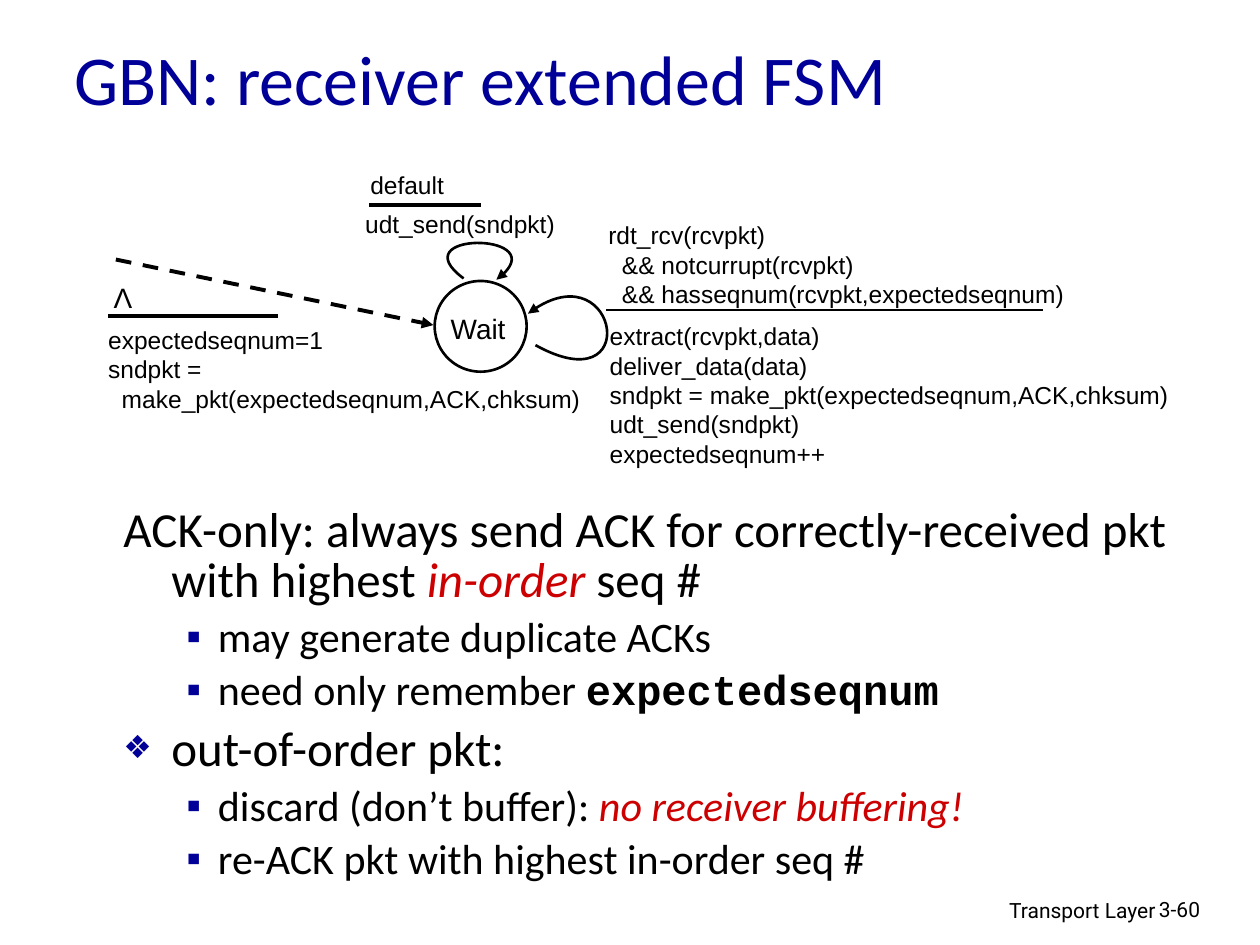
from dataclasses import dataclass

import lxml.etree
import pptx
import pptx.dml.color
import pptx.enum.dml
import pptx.enum.shapes
import pptx.enum.text
import pptx.oxml
import pptx.oxml.ns
import pptx.util

Inches, Pt = pptx.util.Inches, pptx.util.Pt
qn = pptx.oxml.ns.qn
Align = pptx.enum.text.PP_ALIGN
BLACK, NAVY, RED, WHITE = "000000", "000099", "CC0000", "FFFFFF"


@dataclass
class Label:
    text: str
    left: float
    top: float
    width: float
    height: float
    size: float = 14
    name: str = "Arial"
    align: Align = Align.LEFT
    wrap: bool = True


@dataclass
class Rule:
    start: tuple[float, float]
    end: tuple[float, float]
    weight: float = 2.25
    arrow: bool = False


@dataclass
class Loop:
    """A cubic curve: start, two control points and end."""
    start: tuple[float, float]
    controls: list[tuple[float, float]]
    end: tuple[float, float]


@dataclass
class Span:
    text: str
    color: str = BLACK
    italic: bool = False
    bold: bool = False
    name: str = "Calibri"


@dataclass
class Item:
    spans: list[Span]
    level: int = 0
    bullet: str = "▪"


def rgb(color: str) -> pptx.dml.color.RGBColor:
    return pptx.dml.color.RGBColor.from_string(color)


def style_font(font, name: str, size: float, color: str = BLACK) -> None:
    font.name, font.size = name, Pt(size)
    font.color.rgb = rgb(color)


def place(shape, left: float, top: float, width: float, height: float) -> None:
    shape.left, shape.top = Inches(left), Inches(top)
    shape.width, shape.height = Inches(width), Inches(height)


def style_line(shape, weight: float, arrow: bool = False) -> None:
    shape.line.color.rgb = rgb(BLACK)
    shape.line.width = Pt(weight)
    if arrow:
        line = shape.line._get_or_add_ln()
        lxml.etree.SubElement(line, qn("a:tailEnd"), type="triangle")


def add_label(page, label: Label) -> None:
    box = page.shapes.add_textbox(*map(Inches, (label.left, label.top, label.width, label.height)))
    frame = box.text_frame
    frame.word_wrap = label.wrap
    frame.text = label.text
    for para in frame.paragraphs:
        para.alignment = label.align
        for span in para.runs:
            style_font(span.font, label.name, label.size)


def add_rule(page, rule: Rule) -> None:
    line = page.shapes.add_connector(
        pptx.enum.shapes.MSO_CONNECTOR.STRAIGHT, *map(Inches, rule.start + rule.end))
    if rule.arrow:
        line.line.dash_style = pptx.enum.dml.MSO_LINE.DASH
    style_line(line, rule.weight, rule.arrow)
    lxml.etree.SubElement(line._element.spPr, qn("a:effectLst"))


def add_loop(page, loop: Loop) -> None:
    start, *others = [(Inches(x), Inches(y)) for x, y in (loop.start, *loop.controls, loop.end)]
    builder = page.shapes.build_freeform(*start)
    builder.add_line_segments(others, close=False)
    shape = builder.convert_to_shape()
    # Join the three segments into one curve
    segments = list(shape._element.iter(qn("a:lnTo")))
    curve = lxml.etree.SubElement(segments[0].getparent(), qn("a:cubicBezTo"))
    for segment in segments:
        curve.append(segment[0])
        segment.getparent().remove(segment)
    shape.fill.background()
    shape.shadow.inherit = False
    style_line(shape, 1.5, arrow=True)


def set_bullet(para, item: Item) -> None:
    margin, hanging = [(0.38, 0.38), (0.75, 0.25)][item.level]
    properties = para._p.get_or_add_pPr()
    properties.set("marL", str(Inches(margin)))
    properties.set("indent", str(-Inches(hanging)))
    if not item.bullet:
        lxml.etree.SubElement(properties, qn("a:buNone"))
        return
    color = lxml.etree.SubElement(properties, qn("a:buClr"))
    lxml.etree.SubElement(color, qn("a:srgbClr"), val=NAVY)
    scale = 100 if item.level else 65
    lxml.etree.SubElement(properties, qn("a:buSzPct"), val=str(scale * 1000))
    lxml.etree.SubElement(properties, qn("a:buChar"), char=item.bullet)


def fill_list(frame, items: list[Item]) -> None:
    for index, item in enumerate(items):
        para = frame.add_paragraph() if index else frame.paragraphs[0]
        para.level = item.level
        set_bullet(para, item)
        para.line_spacing = 0.85
        para.space_before = Pt((6 if item.level else 7) if index else 0)
        for part in item.spans:
            span = para.add_run()
            span.text = part.text
            style_font(span.font, part.name, 24 if item.level else 28, part.color)
            span.font.italic, span.font.bold = part.italic, part.bold


LABELS = [
    Label("Transport Layer", 6.1, 7.07, 3.17, 0.31, 12, "Roboto", Align.RIGHT),
    Label("3-60", 9.1, 7.07, 0.74, 0.3, 12, "Roboto"),
    Label("Wait", 3.36, 2.42, 0.87, 0.26, 16, align=Align.CENTER),
    Label("udt_send(sndpkt)", 2.8, 1.61, 1.77, 0.34),
    Label("default", 2.84, 1.3, 0.79, 0.27),
    Label("rdt_rcv(rcvpkt)\n  && notcurrupt(rcvpkt)\n"
          "  && hasseqnum(rcvpkt,expectedseqnum)", 4.73, 1.7, 3.9, 0.62),
    Label("extract(rcvpkt,data)\ndeliver_data(data)\n"
          "sndpkt = make_pkt(expectedseqnum,ACK,chksum)\n"
          "udt_send(sndpkt)\nexpectedseqnum++", 4.74, 2.5, 4.72, 0.94),
    Label("expectedseqnum=1\nsndpkt =\n  make_pkt(expectedseqnum,ACK,chksum)",
          0.76, 2.53, 3.98, 1.07),
    Label("Λ", 0.8, 2.18, 0.35, 0.37, 16, align=Align.CENTER, wrap=False),
]
RULES = [
    Rule((0.92, 2.06), (3.44, 2.58), arrow=True),
    Rule((2.93, 1.63), (3.82, 1.63)),
    Rule((4.81, 2.46), (8.28, 2.46), 1.5),
    Rule((0.86, 2.51), (2.21, 2.51)),
]
LOOPS = [
    Loop((4.25, 2.74), [(5.1, 3.21), (4.9, 1.95)], (4.19, 2.49)),
    Loop((3.68, 2.21), [(3.18, 1.84), (4.45, 1.84)], (3.94, 2.22)),
]
ITEMS = [
    Item([Span("ACK-only: always send ACK for correctly-received pkt with highest "),
          Span("in-order", RED, italic=True), Span(" seq #")], bullet=""),
    Item([Span("may generate duplicate ACKs")], 1),
    Item([Span("need only remember "),
          Span("expectedseqnum", bold=True, name="Courier New")], 1),
    Item([Span("out-of-order pkt:")], bullet="❖"),
    Item([Span("discard (don’t buffer): "),
          Span("no receiver buffering!", RED, italic=True)], 1),
    Item([Span("re-ACK pkt with highest in-order seq #")], 1),
]


def main() -> None:
    deck = pptx.Presentation()
    deck.slide_width, deck.slide_height = Inches(10), Inches(7.5)
    page = deck.slides.add_slide(deck.slide_layouts[1])

    # Title and list
    title, body = page.shapes.title, page.placeholders[1]
    place(title, 0.49, 0.23, 8.5, 0.77)
    place(body, 0.88, 3.98, 8.91, 3.12)
    for shape in (title, body):
        shape.text_frame.auto_size = pptx.enum.text.MSO_AUTO_SIZE.NONE
    title.text_frame.text = "GBN: receiver extended FSM"
    heading = title.text_frame.paragraphs[0]
    heading.alignment = Align.LEFT
    style_font(heading.runs[0].font, "Calibri", 40, NAVY)
    fill_list(body.text_frame, ITEMS)

    # State machine
    state = page.shapes.add_shape(
        pptx.enum.shapes.MSO_SHAPE.OVAL, *map(Inches, (3.45, 2.23, 0.73, 0.72)))
    state.shadow.inherit = False
    state.fill.solid()
    state.fill.fore_color.rgb = rgb(WHITE)
    style_line(state, 1.5)
    for rule in RULES:
        add_rule(page, rule)
    for loop in LOOPS:
        add_loop(page, loop)

    # Transition labels and footer
    for label in LABELS:
        add_label(page, label)
    deck.save("out.pptx")


if __name__ == "__main__":
    main()
